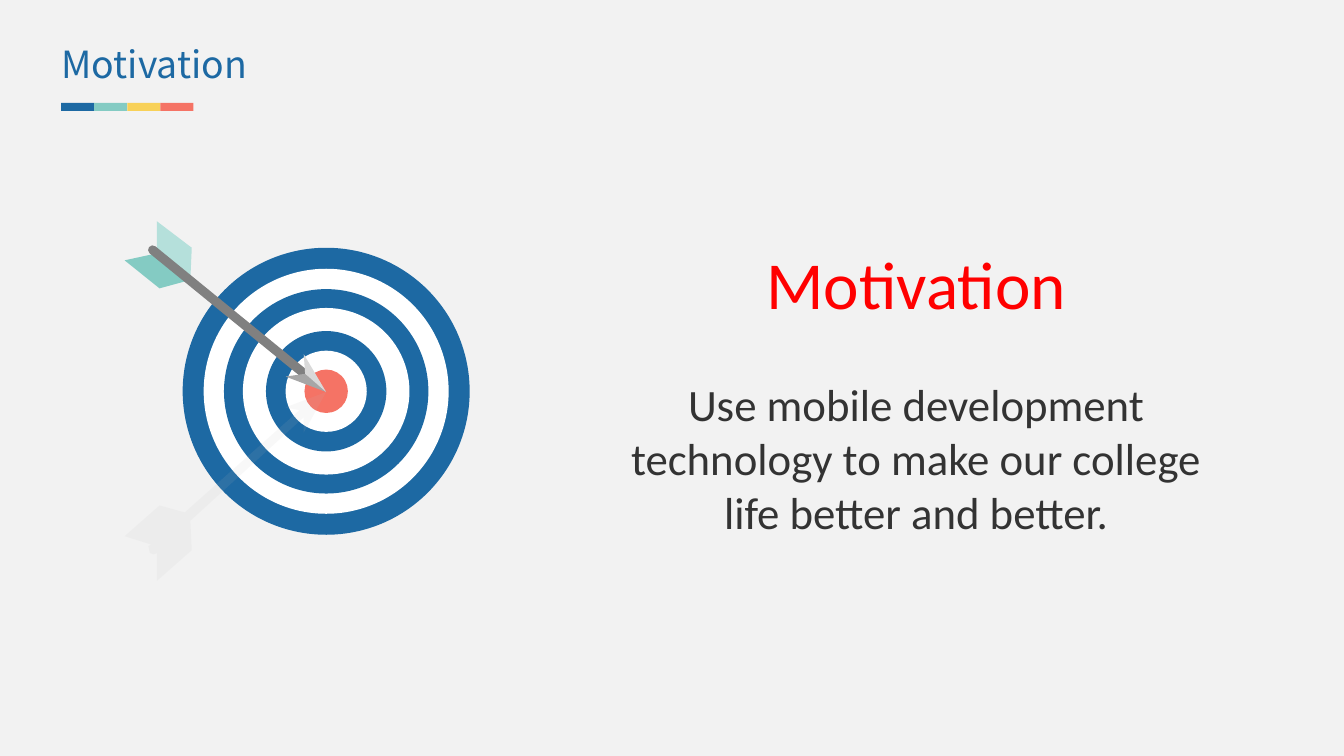
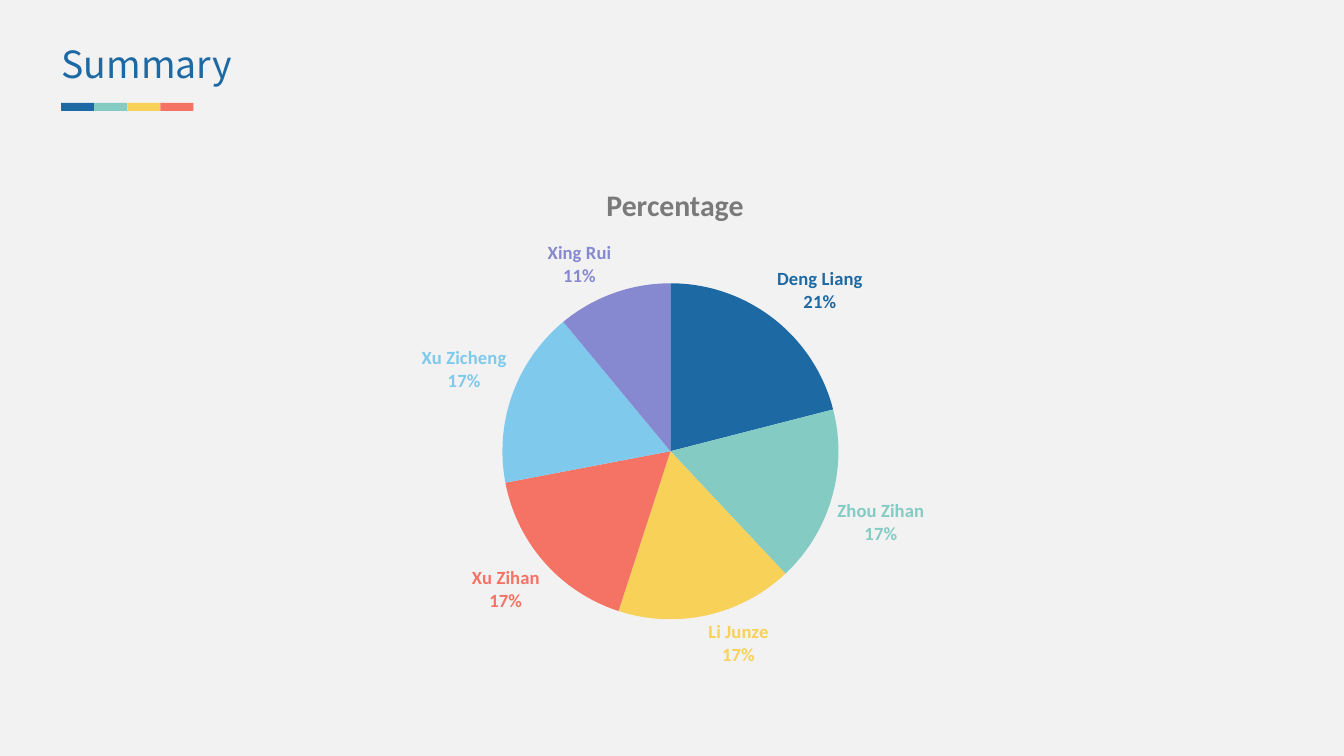
from lxml.etree import SubElement
from pptx import Presentation
from pptx.chart.data import CategoryChartData
from pptx.dml.color import RGBColor
from pptx.enum.chart import XL_CHART_TYPE, XL_LABEL_POSITION
from pptx.enum.shapes import MSO_CONNECTOR, MSO_SHAPE, MSO_SHAPE_TYPE
from pptx.enum.text import MSO_ANCHOR, MSO_AUTO_SIZE, PP_ALIGN
from pptx.oxml import parse_xml
from pptx.oxml.ns import nsdecls, qn
from pptx.util import Pt

BLUE, TEAL, YELLOW, CORAL = "1D69A3", "84CBC3", "F8D158", "F57365"
SKY, VIOLET, WHITE = "7FC9EC", "8689D0", "FFFFFF"
TITLE_FONT, BODY_FONT = "Noto Sans CJK SC", "Calibri"


def paint(fill, color):
    fill.solid()
    fill.fore_color.rgb = RGBColor.from_string(color)


def write(paragraph, text, size, color, font=BODY_FONT, bold=False,
          align=PP_ALIGN.LEFT, before=0):
    paragraph.alignment = align
    if before:
        paragraph.space_before = Pt(before)
    run = paragraph.add_run()
    run.text = text
    run.font.name = font
    run.font.size = Pt(size)
    run.font.bold = bold
    paint(run.font.fill, color)


deck = Presentation()
deck.slide_width, deck.slide_height = Pt(960), Pt(540)
paint(deck.slide_master.background.fill, "F2F2F2")

slides = []
for heading in ("Motivation", "Summary"):
    slide = deck.slides.add_slide(deck.slide_layouts[5])
    title = slide.shapes.title
    title.left, title.top, title.width, title.height = Pt(43.9), Pt(29.5), Pt(292), Pt(32.4)
    frame = title.text_frame
    frame.margin_left = frame.margin_right = frame.margin_top = frame.margin_bottom = 0
    frame.auto_size = MSO_AUTO_SIZE.NONE
    frame.vertical_anchor = MSO_ANCHOR.MIDDLE
    write(frame.paragraphs[0], heading, 26.7, BLUE, font=TITLE_FONT)
    for position, color in enumerate((BLUE, TEAL, YELLOW, CORAL)):
        stripe = slide.shapes.add_shape(
            MSO_SHAPE.RECTANGLE, Pt(43.7 + 23.6 * position), Pt(73.5), Pt(23.6), Pt(5.8))
        paint(stripe.fill, color)
    slides.append(slide)
motivation, summary = slides

center_x, center_y = 233, 279.5
rings = [(205, BLUE), (175, WHITE), (146, BLUE), (119, WHITE),
         (86, BLUE), (58, WHITE), (31, CORAL)]
for diameter, color in rings:
    ring = motivation.shapes.add_shape(
        MSO_SHAPE.OVAL, Pt(center_x - diameter / 2), Pt(center_y - diameter / 2),
        Pt(diameter), Pt(diameter))
    paint(ring.fill, color)

tip = (center_x, center_y)
feather_root, feather_end, barb = (136.1, 200.2), (111.6, 180.7), (218.2, 267.1)
shadow_outline = [
    tip, (216.7, 308.9), (217.4, 298.1), (136.1, 372.2), (136.8, 393.1),
    (112.3, 415.4), (111.6, 394.6), (109.5, 395.8), (106.6, 394.6),
    (106.3, 390), (108, 388.8), (89.3, 383), (113.8, 361.4),
    (131.8, 366.5), (213.8, 293), (203.8, 290.9)]
arrow_parts = [
    (TEAL, [feather_root, (113.8, 205.9), (89.3, 186.5), feather_end]),
    ("B5E0DB", [feather_root, (136.8, 177.1), (112.3, 157.7), feather_end]),
    ("808080", [(109, 178.5), (224.8, 273)]),
    ("A6A6A6", [(203.8, 269.3), tip, barb]),
    ("D9D9D9", [barb, tip, (216.7, 252.7)]),
    ("BFBFBF", shadow_outline)]
for color, points in arrow_parts:
    if len(points) == 2:
        (x1, y1), (x2, y2) = points
        shaft = motivation.shapes.add_connector(
            MSO_CONNECTOR.STRAIGHT, Pt(x1), Pt(y1), Pt(x2), Pt(y2))
        shaft.line.width = Pt(6.5)
        paint(shaft.line.fill, color)
        shaft_format = shaft.element.spPr
        shaft_format.find(qn("a:ln")).set("cap", "rnd")
        SubElement(shaft_format, qn("a:effectLst"))
    else:
        outline = motivation.shapes.build_freeform(*points[0], scale=Pt(1))
        outline.add_line_segments(points[1:], close=True)
        part = outline.convert_to_shape()
        paint(part.fill, color)
        if points is shadow_outline:
            tint = part.element.spPr.find(qn("a:solidFill")).find(qn("a:srgbClr"))
            SubElement(tint, qn("a:alpha")).set("val", "10000")

statement = motivation.shapes.add_textbox(Pt(438.5), Pt(169.2), Pt(432), Pt(220)).text_frame
statement.word_wrap = True
write(statement.paragraphs[0], "Motivation", 48, "FF0000", align=PP_ALIGN.CENTER)
write(statement.add_paragraph(),
      "Use mobile development technology to make our college life better and better.",
      32, "333333", align=PP_ALIGN.CENTER, before=39)

shares = [("Deng Liang", 21, BLUE), ("Zhou Zihan", 17, TEAL), ("Li Junze", 17, YELLOW),
          ("Xu Zihan", 17, CORAL), ("Xu Zicheng", 17, SKY), ("Xing Rui", 11, VIOLET)]
share_data = CategoryChartData()
share_data.categories = [member for member, _, _ in shares]
share_data.add_series("Percentage", [percent for _, percent, _ in shares])
pie = summary.shapes.add_chart(
    XL_CHART_TYPE.PIE, Pt(196.6), Pt(109.4), Pt(567.4), Pt(378), share_data).chart
pie.font.name = BODY_FONT
pie.font.size = Pt(10)
paint(pie.font.fill, "333333")
pie.has_legend = False
pie.has_title = True
write(pie.chart_title.text_frame.paragraphs[0], "Percentage", 21.3, "7A7A7A",
      bold=True, align=PP_ALIGN.CENTER)
pie.chart_title.include_in_layout = False
pie.plots[0].vary_by_categories = True

for index, (_, _, color) in enumerate(shares):
    point = pie.plots[0].series[0].points[index]
    paint(point.format.fill, color)
    point.format.line.fill.background()
    label = point.data_label
    label.font.name = BODY_FONT
    label.font.size = Pt(13.3)
    label.font.bold = True
    paint(label.font.fill, color)
    label.position = XL_LABEL_POSITION.OUTSIDE_END

chart_root = pie.element if hasattr(pie, "element") else pie._chartSpace
for label in chart_root.iter(qn("c:dLbl")):
    for field, shown in (("showVal", "0"), ("showCatName", "1"), ("showPercent", "1")):
        label.find(qn("c:" + field)).set("val", shown)
    SubElement(label, qn("c:separator")).text = "\n"

placements = [
    ("c:title", 1, {"xMode": "edge", "yMode": "edge", "x": 0.41, "y": 0.05}),
    ("c:plotArea", 0, {"layoutTarget": "inner", "xMode": "edge", "yMode": "edge",
                       "x": 0.286, "y": 0.246, "w": 0.423, "h": 0.635})]
for tag, place, settings in placements:
    area = next(chart_root.iter(qn(tag)))
    for previous in area.findall(qn("c:layout")):
        area.remove(previous)
    layout = parse_xml(f"<c:layout {nsdecls('c')}><c:manualLayout/></c:layout>")
    for setting, value in settings.items():
        SubElement(layout[0], qn("c:" + setting)).set("val", str(value))
    area.insert(place, layout)

for slide in slides:
    for shape in slide.shapes:
        if shape.shape_type in (MSO_SHAPE_TYPE.AUTO_SHAPE, MSO_SHAPE_TYPE.FREEFORM):
            shape.line.fill.background()
            shape.shadow.inherit = False

deck.save("out.pptx")
